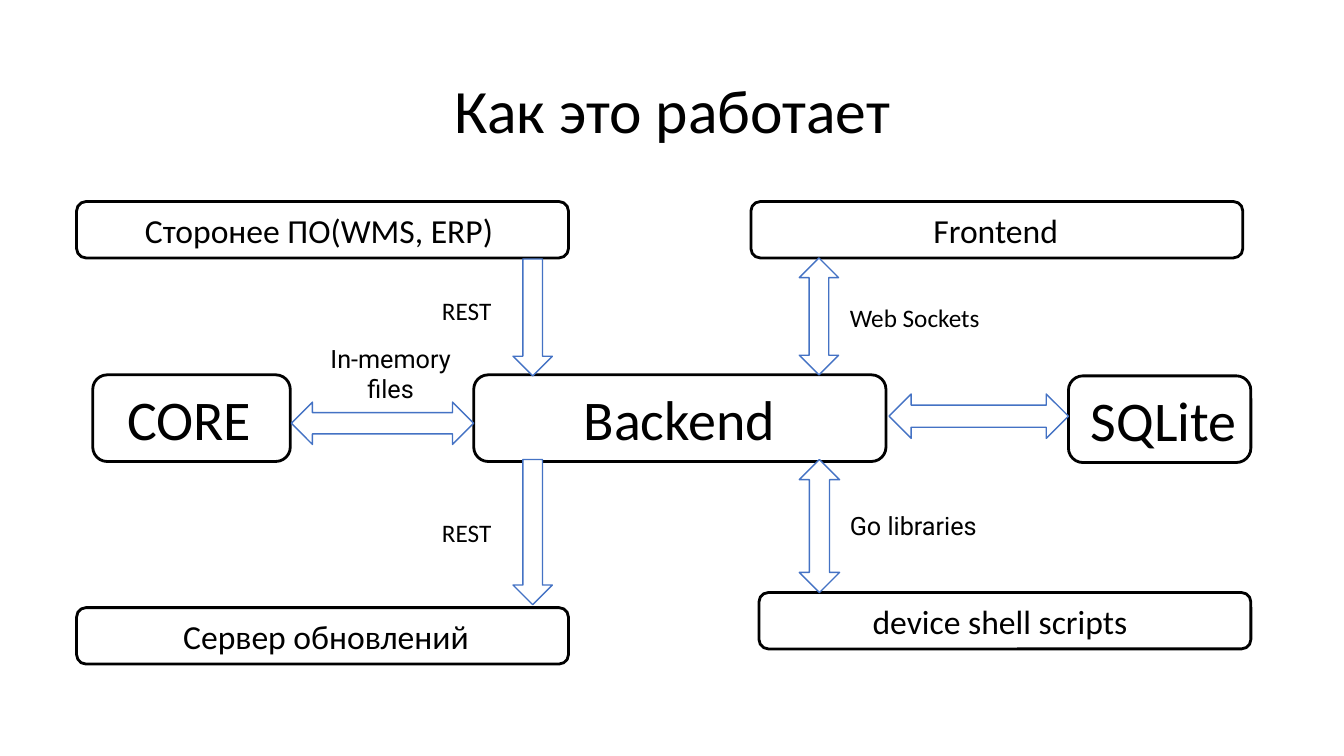
from pptx import Presentation
from pptx.dml.color import RGBColor
from pptx.enum.shapes import MSO_SHAPE
from pptx.enum.text import MSO_ANCHOR, PP_ALIGN
from pptx.util import Inches, Pt


def color(hex_code):
    return RGBColor.from_string(hex_code)


class Diagram:
    """Style and current slide; lengths are cells of a grid 40 columns wide."""
    COLUMNS = 40
    INK, PAPER, ARROW = "000000", "FFFFFF", "4472C4"
    FONT, LABEL_FONT = "Calibri", "Roboto"
    MARGIN = Inches(0.05)

    def __init__(self, prs):
        self.cell = prs.slide_width / self.COLUMNS
        self.s = prs.slides.add_slide(prs.slide_layouts[5])

    def grid(self, *cells):
        return [round(n * self.cell) for n in cells]

    def set_text(self, sp, text, size, font=FONT, align=PP_ALIGN.LEFT,
                 anchor=MSO_ANCHOR.MIDDLE, indent=0):
        tf = sp.text_frame
        tf.word_wrap = True
        tf.vertical_anchor = anchor
        tf.margin_top = tf.margin_right = tf.margin_bottom = self.MARGIN
        tf.margin_left = self.MARGIN + self.grid(indent)[0]
        p = tf.paragraphs[0]
        p.text = text
        p.alignment = align
        p.font.size = Pt(size)
        p.font.name = font
        p.font.color.rgb = color(self.INK)
        return p

    def title(self, text, *place):
        sp = self.s.shapes.title
        sp.left, sp.top, sp.width, sp.height = self.grid(*place)
        p = self.set_text(sp, text, 44, align=PP_ALIGN.CENTER)
        p.line_spacing = 0.9

    def shape(self, kind, place, line, weight):
        sp = self.s.shapes.add_shape(kind, *self.grid(*place))
        sp.shadow.inherit = False
        sp.fill.solid()
        sp.fill.fore_color.rgb = color(self.PAPER)
        sp.line.color.rgb = color(line)
        sp.line.width = Pt(weight)
        return sp

    def box(self, text, size, indent, *place):
        sp = self.shape(MSO_SHAPE.ROUNDED_RECTANGLE, place, self.INK, 2)
        self.set_text(sp, text, size, indent=indent)

    def arrow(self, kind, *place):
        self.shape(kind, place, self.ARROW, 1)

    def label(self, text, place, **style):
        sp = self.s.shapes.add_textbox(*self.grid(*place))
        self.set_text(sp, text, 18, anchor=MSO_ANCHOR.TOP, **style)


def main():
    prs = Presentation()
    prs.slide_width, prs.slide_height = Inches(13.33), Inches(7.5)
    d = Diagram(prs)
    d.title("Как это работает", 2.76, 1.2, 34.5, 4.35)

    # Outer components: text, indent, left, top
    for text, indent, left, top in [
        ("Сторонее ПО(WMS, ERP)", 1.8, 2.28, 6),
        ("Frontend", 5.2, 22.35, 6),
        ("Сервер обновлений", 2.94, 2.28, 18.09),
        ("device shell scripts", 3.15, 22.59, 17.64),
    ]:
        d.box(text, 24, indent, left, top, 14.64, 1.68)

    # Middle row: text, indent, left, top, width
    for text, indent, left, top, width in [
        ("CORE", 0.75, 2.76, 11.16, 5.88),
        ("Backend", 3, 14.1, 11.16, 12.27),
        ("SQLite", 0.39, 31.8, 11.19, 5.43),
    ]:
        d.box(text, 40, indent, left, top, width, 2.58)

    # Arrows between the components
    d.arrow(MSO_SHAPE.DOWN_ARROW, 15.27, 7.71, 1.17, 3.48)
    d.arrow(MSO_SHAPE.DOWN_ARROW, 15.27, 13.68, 1.17, 4.32)
    d.arrow(MSO_SHAPE.UP_DOWN_ARROW, 23.79, 7.68, 1.17, 3.48)
    d.arrow(MSO_SHAPE.UP_DOWN_ARROW, 23.79, 13.68, 1.2, 3.96)
    d.arrow(MSO_SHAPE.LEFT_RIGHT_ARROW, 8.67, 11.97, 5.43, 1.26)
    d.arrow(MSO_SHAPE.LEFT_RIGHT_ARROW, 26.46, 11.73, 5.34, 1.32)

    # Protocol labels
    for top in (8.64, 15.24):
        d.label("REST", (10.8, top, 4.71, 1.2), indent=2.2)
    d.label("Web Sockets", (25.14, 8.85, 4.71, 1.2))
    d.label("Go libraries", (25.14, 15.03, 4.5, 1.23), font=d.LABEL_FONT)
    d.label("In-memory files", (9.27, 10.08, 4.71, 2.13),
            font=d.LABEL_FONT, align=PP_ALIGN.CENTER)

    prs.save("out.pptx")


if __name__ == "__main__":
    main()
